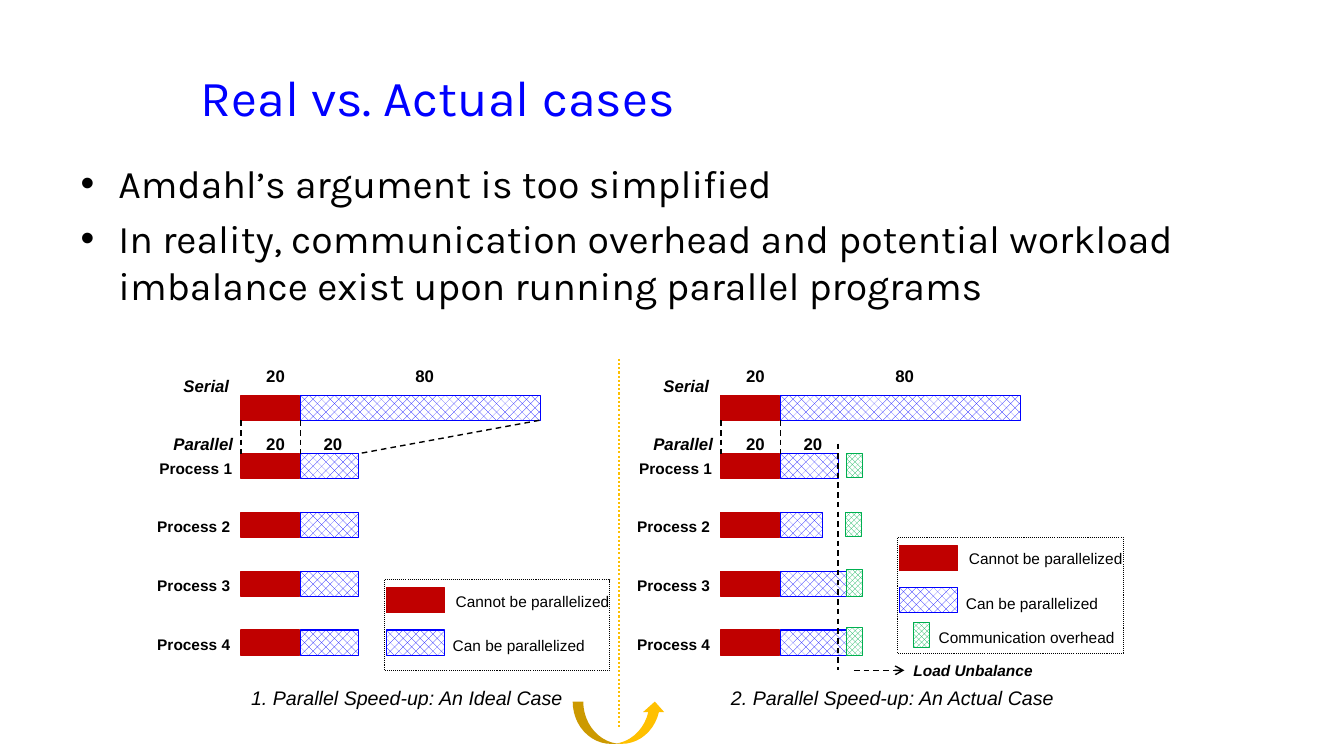
from pptx import Presentation
from pptx import util as u
from pptx.dml.color import RGBColor
from pptx.enum import dml, shapes, text
from pptx.oxml.ns import qn
from lxml import etree

PX = 9144  # 100 px to the inch
BLACK = RGBColor(0x00, 0x00, 0x00)
WHITE = RGBColor(0xFF, 0xFF, 0xFF)
BLUE = RGBColor(0x00, 0x00, 0xFF)
RED = RGBColor(0xC0, 0x00, 0x00)
GREEN = RGBColor(0x00, 0xB0, 0x50)
GOLD = RGBColor(0xFF, 0xC0, 0x00)

# Each kind of work has a pattern and a colour
SEQUENTIAL = (dml.MSO_PATTERN.DARK_HORIZONTAL, RED)
PARALLEL = (dml.MSO_PATTERN.WEAVE, BLUE)
OVERHEAD = (dml.MSO_PATTERN.LARGE_CHECKER_BOARD, GREEN)
DASH = dml.MSO_LINE.DASH
DOTS = dml.MSO_LINE.ROUND_DOT

presentation = Presentation()
presentation.slide_width = 1333 * PX
presentation.slide_height = 750 * PX
slide = presentation.slides.add_slide(presentation.slide_layouts[1])


def add_bar(kind, left, top, width, height=25):
    pattern, color = kind
    bar = slide.shapes.add_shape(shapes.MSO_SHAPE.RECTANGLE,
                                 left * PX, top * PX, width * PX, height * PX)
    bar.shadow.inherit = False
    bar.fill.patterned()
    bar.fill.pattern = pattern
    bar.fill.fore_color.rgb = color
    bar.fill.back_color.rgb = WHITE
    bar.line.color.rgb = color
    bar.line.width = u.Pt(0.75)


def add_label(words, left, top, width, size=11, bold=False, italic=False):
    label = slide.shapes.add_textbox(left * PX, top * PX, width * PX, size * 17 // 10 * PX)
    frame = label.text_frame
    frame.margin_left = frame.margin_right = frame.margin_top = frame.margin_bottom = 0
    frame.word_wrap = False
    frame.auto_size = text.MSO_AUTO_SIZE.SHAPE_TO_FIT_TEXT
    run = frame.paragraphs[0].add_run()
    run.text = words
    run.font.name = "Arial"
    run.font.size = u.Pt(size)
    run.font.bold = bold
    run.font.italic = italic
    run.font.color.rgb = BLACK


# Title and bullet list
title, body = slide.placeholders
for placeholder, box, size, color, anchor, lines in (
    (title, (189, 33, 1044, 125), 36, BLUE, text.MSO_ANCHOR.MIDDLE,
     ["Real vs. Actual cases"]),
    (body, (70, 153, 1243, 311), 28, BLACK, text.MSO_ANCHOR.TOP,
     ["Amdahl’s argument is too simplified",
      "In reality, communication overhead and potential workload "
      "imbalance exist upon running parallel programs"]),
):
    placeholder.left, placeholder.top, placeholder.width, placeholder.height = [
        length * PX for length in box]
    frame = placeholder.text_frame
    frame.word_wrap = True
    frame.auto_size = text.MSO_AUTO_SIZE.NONE
    frame.vertical_anchor = anchor
    for number, line in enumerate(lines):
        paragraph = frame.add_paragraph() if number else frame.paragraphs[0]
        paragraph.alignment = text.PP_ALIGN.LEFT
        paragraph.space_before = u.Pt(5.6 if number else 0)
        run = paragraph.add_run()
        run.text = line
        run.font.name = "Karla"
        run.font.size = u.Pt(size)
        run.font.color.rgb = color

# Two panels: serial bar, four process bars, caption and legend
IDEAL, ACTUAL = 239, 715
LEGEND_WIDTH = 224
panels = (
    (IDEAL, (58, 58, 58, 58), "1. Parallel Speed-up: An Ideal Case", 311, (381, 575, 90)),
    (ACTUAL, (58, 42, 66, 67), "2. Parallel Speed-up: An Actual Case", 322, (890, 533, 115)),
)
for left, parallel_widths, caption, caption_width, legend in panels:
    add_bar(SEQUENTIAL, left, 392, 58)
    add_bar(PARALLEL, left + 59, 392, 238)
    for words, offset, top in (("20", 25, 363), ("80", 173, 363), ("20", 25, 430), ("20", 82, 430)):
        add_label(words, left + offset, top, 19, 12, bold=True)
    add_label("Serial", left - 57, 373, 46, 12, bold=True, italic=True)
    add_label("Parallel", left - 67, 430, 60, 12, bold=True, italic=True)

    for row, width in enumerate(parallel_widths):
        top = 450 + round(row * 175 / 3)
        add_bar(SEQUENTIAL, left, top, 58)
        add_bar(PARALLEL, left + 59, top, width)
        add_label(f"Process {row + 1}", left - (83 if row else 81), top + 5, 73, bold=True)
    add_label(caption, left + 10, 680, caption_width, 14, italic=True)

    legend_left, legend_top, legend_height = legend
    add_bar(SEQUENTIAL, legend_left + 2, legend_top + 8, 58)
    add_bar(PARALLEL, legend_left + 2, legend_top + 50, 58)
    add_label("Cannot be parallelized", legend_left + 71, legend_top + 12, 154)
    add_label("Can be parallelized", legend_left + 68, legend_top + 56, 132)
    border = slide.shapes.add_shape(shapes.MSO_SHAPE.RECTANGLE, legend_left * PX, legend_top * PX,
                                    LEGEND_WIDTH * PX, legend_height * PX)
    border.shadow.inherit = False
    border.fill.background()
    border.line.color.rgb = BLACK
    border.line.width = u.Pt(0.75)
    border.line.dash_style = DOTS

# Communication overhead, with its legend entry, and load unbalance
for left, top, width, height in ((840, 450, 16, 24), (839, 508, 16, 24), (840, 565, 16, 27),
                                 (840, 623, 15, 27), (906, 618, 16, 24)):
    add_bar(OVERHEAD, left, top, width, height)
add_label("Communication overhead", 931, 623, 176)
add_label("Load Unbalance", 906, 656, 119, bold=True, italic=True)

# Guide lines, load unbalance arrow and divider
guides = [(x, 417, x, 450) for left in (IDEAL, ACTUAL) for x in (left, left + 59)]
guides += [(535, 417, 356, 450), (831, 440, 831, 665)]
unbalance_arrow = (847, 665, 897, 665)
divider = (614, 356, 614, 722)
for ends in guides + [unbalance_arrow, divider]:
    connector = slide.shapes.add_connector(shapes.MSO_CONNECTOR.STRAIGHT,
                                           *[length * PX for length in ends])
    connector.line.color.rgb = GOLD if ends == divider else BLACK
    connector.line.width = u.Pt(1.5 if ends == divider else 1)
    connector.line.dash_style = DOTS if ends == divider else DASH
    properties = connector._element.spPr
    if ends == unbalance_arrow:
        etree.SubElement(properties.find(qn("a:ln")), qn("a:tailEnd"), type="arrow")
    etree.SubElement(properties, qn("a:effectLst"))

# Curved arrow from the ideal to the actual case
curved_arrow = slide.shapes.add_shape(shapes.MSO_SHAPE.CURVED_UP_ARROW,
                                      568 * PX, 696 * PX, 92 * PX, 42 * PX)
curved_arrow.shadow.inherit = False
curved_arrow.fill.solid()
curved_arrow.fill.fore_color.rgb = GOLD
curved_arrow.line.fill.background()

presentation.save("out.pptx")
